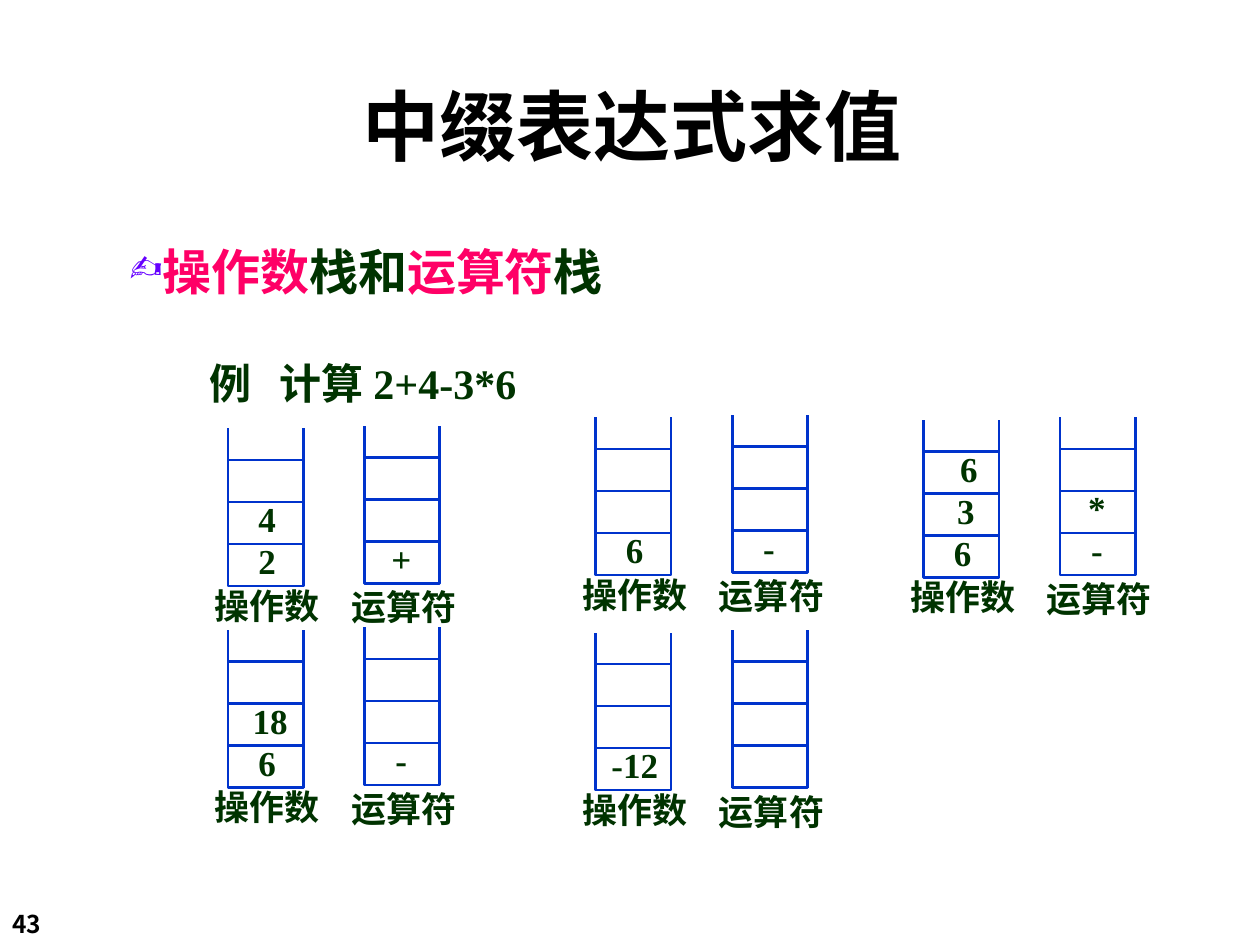
import pptx
import pptx.util
import pptx.dml.color
import pptx.enum.text
import pptx.enum.shapes
from dataclasses import dataclass
from lxml import etree

Pt = pptx.util.Pt
Align = pptx.enum.text.PP_ALIGN
Anchor = pptx.enum.text.MSO_ANCHOR
Kind = pptx.enum.shapes.MSO_SHAPE


@dataclass(frozen=True)
class Theme:
    black: str = "000000"
    white: str = "FFFFFF"
    ink: str = "003300"
    pink: str = "FF0066"
    mark: str = "6600FF"
    blue: str = "0033CC"
    serif: str = "Times New Roman"
    sans: str = "Noto Sans CJK SC"
    sign: str = "Wingdings"
    title: int = 44
    head: int = 28
    body: int = 24
    cell: int = 20
    page: int = 14
    rule: float = 1.5


T = Theme()

# Stack sizes
WIDE, HIGH, CELL, ROWS = 43, 90, 24, 3
STEP, RISE = 78, 1.5  # from the operand stack to the operator stack


def color(code):
    return pptx.dml.color.RGBColor.from_string(code)


def node(parent, tag, **attrs):
    part = etree.SubElement(parent, pptx.oxml.ns.qn("a:" + tag))
    for name, value in attrs.items():
        part.set(name, str(value))
    return part


def write(shapes, box, text, size, font=T.serif, fill=T.ink, align=Align.LEFT,
          anchor=Anchor.TOP, wrap=True, lead=0.9, inset=7.2, bullet=None, tab=None):
    """Text is a string, or a list of (text, overrides) runs."""
    shape = shapes.add_textbox(*map(Pt, box))
    frame = shape.text_frame
    frame.word_wrap = wrap
    frame.auto_size = pptx.enum.text.MSO_AUTO_SIZE.SHAPE_TO_FIT_TEXT
    frame.vertical_anchor = anchor
    frame.margin_left = Pt(inset)
    para = frame.paragraphs[0]
    props = para._p.get_or_add_pPr()
    if bullet:
        props.set("marL", "0")
        props.set("indent", "0")
        node(node(props, "buClr"), "srgbClr", val=T.mark)
        node(props, "buSzPct", val=75000)
        node(props, "buFont", typeface=T.sign, charset=2)
        node(props, "buChar", char=bullet)
    if tab:
        node(node(props, "tabLst"), "tab", pos=Pt(tab), algn="l")
    para.alignment = align
    para.line_spacing = lead
    for words, change in [(text, {})] if isinstance(text, str) else text:
        run = para.add_run()
        run.text = words
        run.font.size = Pt(size)
        run.font.bold = True
        run.font.name = change.get("font", font)
        run.font.color.rgb = color(change.get("fill", fill))
        node(run._r.get_or_add_rPr(), "ea", typeface=T.sans)
    return shape


def edge(shapes, x, top, low):
    line = shapes.add_connector(pptx.enum.shapes.MSO_CONNECTOR.STRAIGHT,
                                Pt(x), Pt(low), Pt(x), Pt(top))
    line.line.color.rgb = color(T.blue)
    line.line.width = Pt(T.rule)
    node(line._element.spPr, "effectLst")


def stack(shapes, x, y):
    """Open-topped stack of cells with its top left at x, y."""
    for side in (x, x + WIDE):
        edge(shapes, side, y, y + HIGH)
    for row in range(1, ROWS + 1):
        cell = shapes.add_shape(Kind.RECTANGLE, Pt(x), Pt(y + HIGH - row * CELL),
                                Pt(WIDE), Pt(CELL))
        cell.shadow.inherit = False
        cell.fill.solid()
        cell.fill.fore_color.rgb = color(T.white)
        cell.line.color.rgb = color(T.blue)
        cell.line.width = Pt(T.rule)


def note(shapes, mid, y, text, wide):
    write(shapes, (mid - wide / 2, y, wide, 29), text, T.cell,
          align=Align.CENTER, anchor=Anchor.MIDDLE, wrap=False)


def scene(slide, x, y, nums, ops, drift=0):
    """Operand and operator stacks; values are listed from the bottom up."""
    shapes = slide.shapes.add_group_shape().shapes
    pair = ((x, y, "操作数", nums, 88), (x + STEP, y - RISE, "运算符", ops, 90.5))
    for left, top, *_ in pair:
        stack(shapes, left, top)
    for left, top, label, items, drop in pair:
        note(shapes, left + 22.5, top + drop, label, 77)
        for level, item in enumerate(items):
            low = top + HIGH - (level + 1) * CELL
            shift = 22.3 + drift * level if items is nums else 21
            note(shapes, left + shift, low - 3.4, item, 16 + 11 * len(item))


def header(slide, box):
    write(slide.shapes, box, [("中缀", {}), ("表达式求值", {"font": T.sans})],
          T.title, fill=T.black, align=Align.CENTER)


def intro(slide, box):
    x, y, wide, high = box
    pink = {"fill": T.pink}
    write(slide.shapes, box,
          [("操作数", pink), ("栈和", {}), ("运算符", pink), ("栈", {})],
          T.head, font=T.sans, bullet="✿")
    write(slide.shapes, (x + 33, y + 65.5, 222, 33), "例\t计算 2+4-3*6", T.body,
          anchor=Anchor.MIDDLE, inset=20.7, tab=40)


def steps(slide):
    cols = (130.3, 340.4, 527.8)
    scene(slide, cols[0], 244.8, ["2", "4"], ["+"])
    scene(slide, cols[1], 238.5, ["6"], ["-"])
    scene(slide, cols[2], 240, ["6", "3", "6"], ["-", "*"], drift=1.75)
    scene(slide, cols[0], 360, ["6", "18"], ["-"], drift=1.75)
    scene(slide, cols[1], 361.5, ["-12"], [])


def main():
    deck = pptx.Presentation()
    deck.slide_width, deck.slide_height = Pt(720), Pt(540)
    slide = deck.slides.add_slide(deck.slide_layouts[6])
    # Page number
    write(slide.shapes, (0, 516, 60, 24.5), "43", T.page, font=T.sans,
          fill=T.black, lead=1.0)
    # Title, topic and worked example
    header(slide, (31, 47.5, 660, 54.7))
    intro(slide, (66.3, 138.3, 582, 37.5))
    steps(slide)
    deck.save("out.pptx")


if __name__ == "__main__":
    main()
